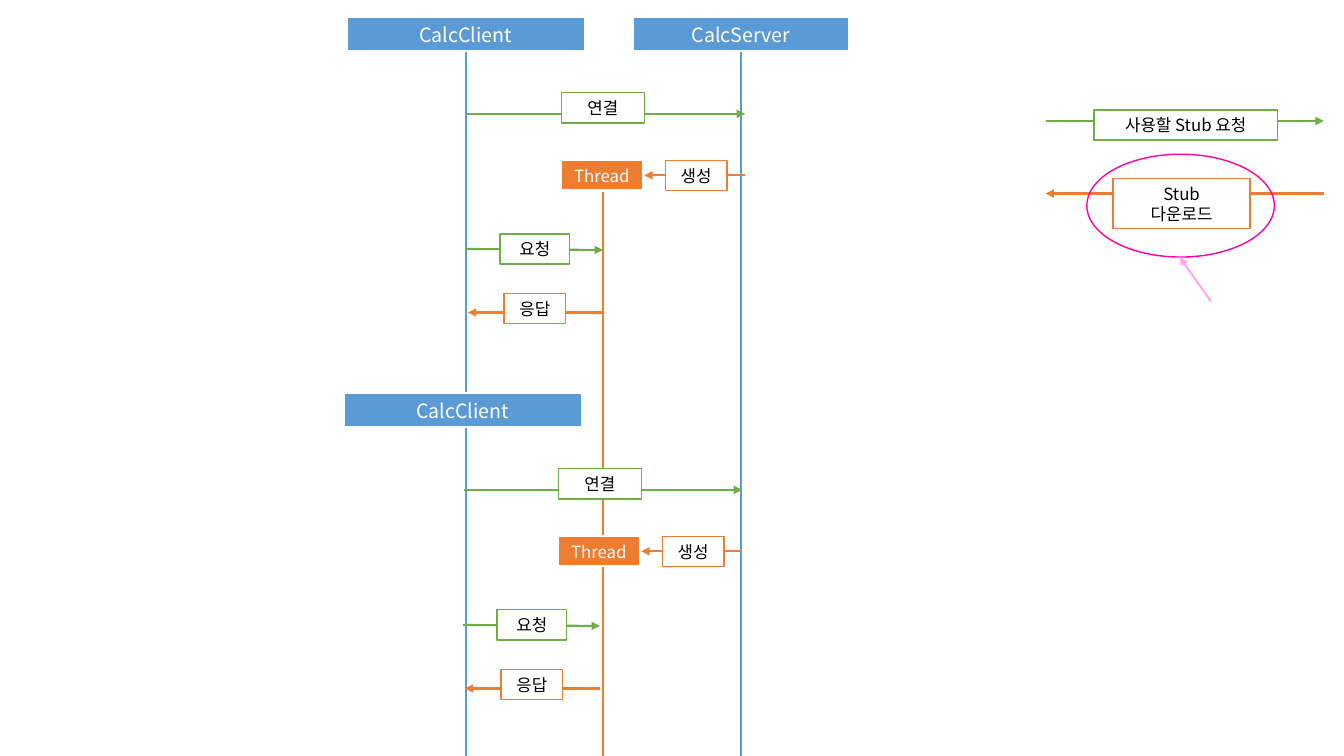
from lxml import etree
from pptx import Presentation
from pptx.dml.color import RGBColor
from pptx.enum.shapes import MSO_CONNECTOR, MSO_SHAPE
from pptx.enum.text import MSO_ANCHOR, PP_ALIGN
from pptx.oxml.ns import qn
from pptx.util import Inches, Pt

FONT = "Noto Sans CJK KR"
BLUE, GREEN, ORANGE = "5B9BD5", "70AD47", "ED7D31"
PINK, MAGENTA, WHITE, BLACK = "FDA9F7", "FF00A8", "FFFFFF", "000000"
WIDTH, HEIGHT = 13.33, 7.5
BAR_H, BOX_H = 0.34, 0.3

# Each round of the protocol has the same parts, moved by (dx, dy)
ROUNDS = [(0, 0), (-0.03, 3.73)]
# start x, start y, end x, end y, colour
ROUND_ARROWS = [
    (4.63, 1.13, 7.39, 1.13, GREEN),
    (7.39, 1.74, 6.39, 1.74, ORANGE),
    (4.62, 2.47, 5.98, 2.48, GREEN),
    (5.98, 3.1, 4.64, 3.1, ORANGE),
]
# text, left, top, width, colour
ROUND_LABELS = [
    ("연결", 5.57, 0.92, 0.82, GREEN),
    ("생성", 6.6, 1.59, 0.61, ORANGE),
    ("요청", 4.96, 2.32, 0.69, GREEN),
    ("응답", 5.0, 2.91, 0.61, ORANGE),
]
CLIENT = ("CalcClient", 3.44, 0.17, 2.36, BAR_H)
SERVER = ("CalcServer", 6.28, 0.17, 2.14, BAR_H)
THREAD = ("Thread", 5.56, 1.59, 0.82, BOX_H)

# x, top, colour; every lifeline runs to the foot of the slide
LIFELINES = [(4.62, 0.5, BLUE), (7.35, 0.51, BLUE), (5.98, 1.89, ORANGE)]

STUB_ARROWS = [
    (10.37, 1.2, 13.13, 1.2, GREEN),
    (13.13, 1.92, 10.37, 1.92, ORANGE),
]
STUB_LABELS = [
    ("사용할 Stub 요청", 10.85, 1.09, 1.82, BOX_H, GREEN),
    ("Stub\n다운로드", 11.04, 1.77, 1.36, 0.5, ORANGE),
]
HIGHLIGHT = (10.78, 1.53, 1.86, 1.02)
POINTER = (12.01, 2.99, 11.7, 2.55, PINK)


def rgb(value):
    """Turn a hex string into a colour."""
    return RGBColor.from_string(value)


def add_line(slide, x1, y1, x2, y2, color, arrow=True):
    """Draw a straight line, with an arrowhead at its end if wanted."""
    line = slide.shapes.add_connector(
        MSO_CONNECTOR.STRAIGHT, *map(Inches, (x1, y1, x2, y2)))
    line.line.color.rgb = rgb(color)
    line.line.width = Pt(1.5)
    if arrow:
        etree.SubElement(line.line._get_or_add_ln(), qn("a:tailEnd"), type="triangle")
    etree.SubElement(line._element.spPr, qn("a:effectLst"))


def add_shape(slide, kind, left, top, width, height, fill, outline, weight):
    """Draw a preset shape without shadow; fill None leaves it open."""
    shape = slide.shapes.add_shape(kind, *map(Inches, (left, top, width, height)))
    shape.shadow.inherit = False
    if fill:
        shape.fill.solid()
        shape.fill.fore_color.rgb = rgb(fill)
    else:
        shape.fill.background()
    shape.line.color.rgb = rgb(outline)
    shape.line.width = Pt(weight)
    return shape


def add_box(slide, text, left, top, width, height, fill, outline, weight, size, color):
    """Draw a rectangle with centred text, one paragraph a line."""
    box = add_shape(slide, MSO_SHAPE.RECTANGLE, left, top, width, height,
                    fill, outline, weight)
    frame = box.text_frame
    frame.text = text
    frame.word_wrap = True
    frame.vertical_anchor = MSO_ANCHOR.MIDDLE
    frame.margin_left = frame.margin_right = 0
    frame.margin_top = frame.margin_bottom = 0
    for paragraph in frame.paragraphs:
        paragraph.alignment = PP_ALIGN.CENTER
        for run in paragraph.runs:
            font = run.font
            font.name, font.size, font.color.rgb = FONT, Pt(size), rgb(color)
            etree.SubElement(run._r.get_or_add_rPr(), qn("a:ea"), typeface=FONT)


def add_actor(slide, text, left, top, width, height, fill, size):
    """Draw a filled box that heads a lifeline."""
    add_box(slide, text, left, top, width, height, fill, WHITE, 1.5, size, WHITE)


def add_label(slide, text, left, top, width, height, outline):
    """Draw a white message label."""
    add_box(slide, text, left, top, width, height, WHITE, outline, 1, 12, BLACK)


def add_round(slide, dx, dy):
    """Draw one client round: actors, message arrows and their labels."""
    for actor, fill, size in ((CLIENT, BLUE, 14), (THREAD, ORANGE, 12)):
        text, left, top, width, height = actor
        add_actor(slide, text, left + dx, top + dy, width, height, fill, size)
    for x1, y1, x2, y2, color in ROUND_ARROWS:
        add_line(slide, x1 + dx, y1 + dy, x2 + dx, y2 + dy, color)
    for text, left, top, width, color in ROUND_LABELS:
        add_label(slide, text, left + dx, top + dy, width, BOX_H, color)


def main():
    """Build the sequence diagram and save it."""
    prs = Presentation()
    prs.slide_width, prs.slide_height = Inches(WIDTH), Inches(HEIGHT)
    slide = prs.slides.add_slide(prs.slide_layouts[6])
    for x, top, color in LIFELINES:
        add_line(slide, x, top, x, HEIGHT, color, arrow=False)
    add_actor(slide, *SERVER, BLUE, 14)
    for dx, dy in ROUNDS:
        add_round(slide, dx, dy)
    for arrow in STUB_ARROWS:
        add_line(slide, *arrow)
    for label in STUB_LABELS:
        add_label(slide, *label)
    add_shape(slide, MSO_SHAPE.OVAL, *HIGHLIGHT, None, MAGENTA, 1)
    add_line(slide, *POINTER)
    prs.save("out.pptx")


main()
